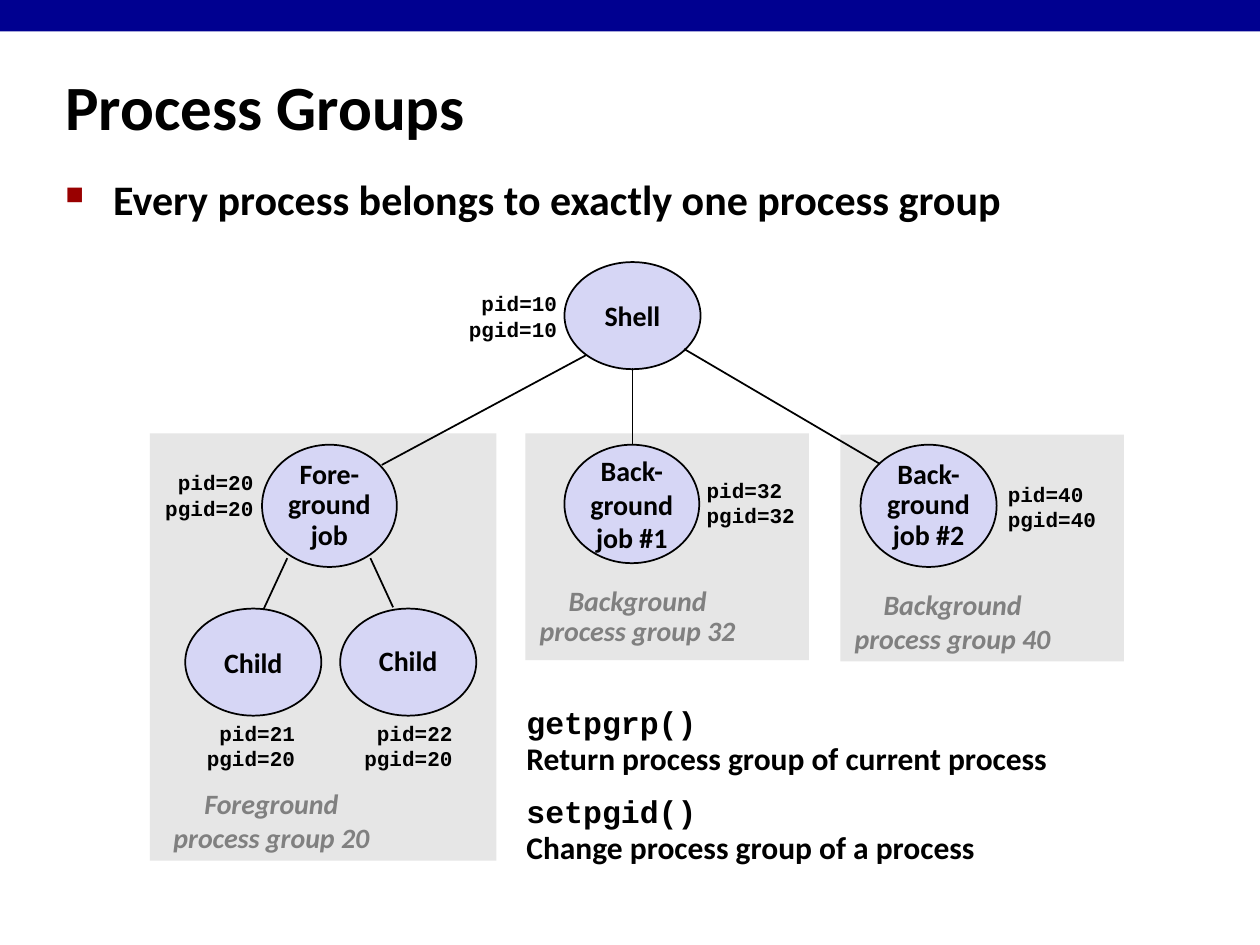
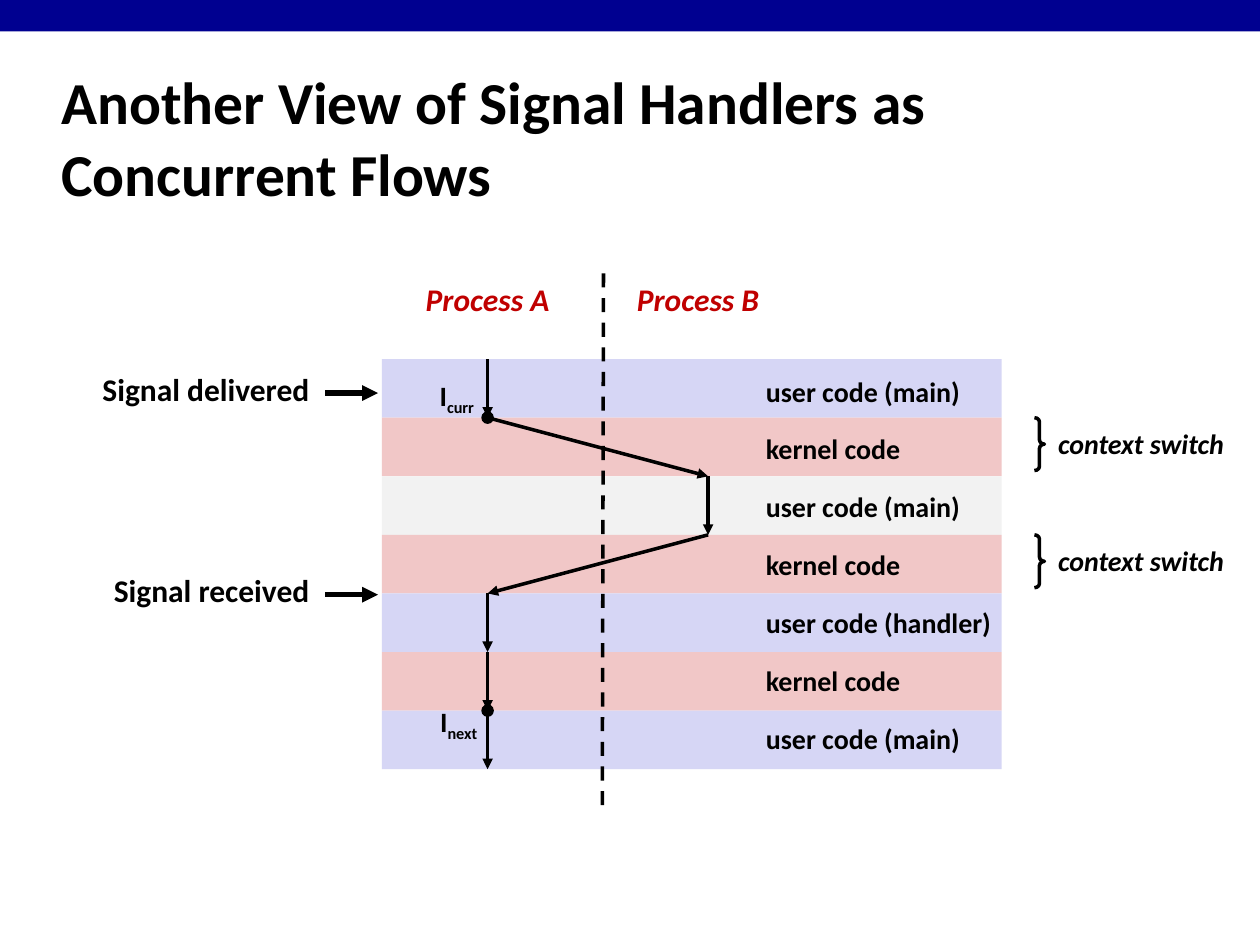
from dataclasses import dataclass
from itertools import pairwise

from lxml.etree import SubElement
from pptx import Presentation
from pptx.dml.color import RGBColor
from pptx.enum.dml import MSO_LINE
from pptx.enum.shapes import MSO_CONNECTOR, MSO_SHAPE
from pptx.enum.text import MSO_ANCHOR, MSO_AUTO_SIZE, PP_ALIGN
from pptx.oxml.ns import qn
from pptx.util import Inches, Pt


@dataclass(frozen=True)
class Style:
    size: int
    color: str = "000000"
    font: str = "Calibri"
    italic: bool = False


class Theme:
    black = "000000"
    banner = "000090"
    bullet = "990000"
    group = "E6E6E6"
    process = user = "D6D6F5"
    kernel = "F1C7C7"
    other = "F2F2F2"
    title = Style(36)
    long_title = Style(34)
    body = Style(24)
    node = label = Style(16)
    identifier = Style(12, font="Courier New")
    group_name = Style(16, "808080", italic=True)
    call = Style(18, font="Courier New")
    signal = meaning = Style(18)
    heading = Style(18, "C00000", italic=True)
    switch = Style(16, italic=True)


LEFT, CENTER, RIGHT = PP_ALIGN.LEFT, PP_ALIGN.CENTER, PP_ALIGN.RIGHT

GROUP_PANELS = [(6.67, 3.45, 2.25, 1.8), (4.17, 3.44, 2.25, 1.8), (1.19, 3.44, 2.75, 3.39)]
PROCESSES = [
    (["Fore-", "ground", "job"], (2.08, 3.53, 1.07, 0.97), 0.9),
    (["Back-", "ground", "job #1"], (4.48, 3.53, 1.07, 0.94), 1),
    (["Back-", "ground", "job #2"], (6.83, 3.53, 1.08, 0.97), 0.9),
    (["Shell"], (4.48, 2.08, 1.08, 0.85), 1),
    (["Child"], (1.47, 4.83, 1.08, 0.85), 1),
    (["Child"], (2.7, 4.83, 1.08, 0.85), 0.9),
]
BRANCHES = [
    ((2.28, 4.43), (2.09, 4.84)),
    ((2.94, 4.43), (3.12, 4.82)),
    ((5.02, 2.92), (5.02, 3.53)),
    ((4.65, 2.82), (3.03, 3.69)),
    ((5.43, 2.77), (6.98, 3.68)),
]
IDENTIFIERS = [
    (10, 10, 3.61, 2.26, RIGHT),
    (20, 20, 1.2, 3.68, RIGHT),
    (32, 32, 5.51, 3.74, LEFT),
    (40, 40, 7.9, 3.77, LEFT),
    (21, 20, 1.53, 5.67, RIGHT),
    (22, 20, 2.78, 5.67, RIGHT),
]
GROUP_NAMES = [
    ("Foreground", 20, (1.19, 6.19, 1.93, 0.64), 1),
    ("Background", 32, (4.17, 4.58, 1.78, 0.64), 0.9),
    ("Background", 40, (6.67, 4.61, 1.78, 0.64), 1),
]
CALLS = [
    ("getpgrp()", "Return process group of current process"),
    ("setpgid()", "Change process group of a process"),
]

BANDS = [
    ("user code (main)", Theme.user),
    ("kernel code", Theme.kernel),
    ("user code (main)", Theme.other),
    ("kernel code", Theme.kernel),
    ("user code (handler)", Theme.user),
    ("kernel code", Theme.kernel),
    ("user code (main)", Theme.user),
]
BAND_LEFT, BAND_TOP, BAND_WIDTH, BAND_STEP = 3.03, 2.85, 4.92, 0.465
LABEL_TOP, LABEL_STEP = 2.92, 0.46
A, B = 3.87, 5.62
FLOW = [A, A, B, B, A, A, A, A]
HEADINGS = [("Process A", 3.27), ("Process B", 4.94)]
SIGNALS = [("Signal delivered", 0.76, 2.92, 1.75), ("Signal received", 0.85, 4.52, 1.66)]
SWITCH_BANDS = [1, 3]
INSTRUCTIONS = [("curr", 2.96, 0.41, 1), ("next", 5.55, 0.44, 6)]


def color(value):
    return RGBColor.from_string(value)


def band_y(index):
    return BAND_TOP + index * BAND_STEP


def set_font(font, style):
    font.name = style.font
    font.size = Pt(style.size)
    font.bold = True
    font.italic = style.italic
    font.color.rgb = color(style.color)


def write(shape, lines, style, align=LEFT, spacing=1, anchor=MSO_ANCHOR.TOP, wrap=False):
    frame = shape.text_frame
    frame.word_wrap = wrap
    frame.vertical_anchor = anchor
    for index, line in enumerate(lines):
        para = frame.add_paragraph() if index else frame.paragraphs[0]
        para.text = line
        para.alignment = align
        para.line_spacing = spacing
        set_font(para.font, style)
    return frame


def add_text(page, place, lines, style, inset=0.1, **options):
    box = page.shapes.add_textbox(*map(Inches, place))
    frame = write(box, lines, style, **options)
    frame.margin_left = frame.margin_right = Inches(inset)
    if not frame.word_wrap:
        frame.auto_size = MSO_AUTO_SIZE.SHAPE_TO_FIT_TEXT
    return frame


def add_shape(page, kind, place, fill=None, line_width=None):
    shape = page.shapes.add_shape(kind, *map(Inches, place))
    shape.shadow.inherit = False
    if fill:
        shape.fill.solid()
        shape.fill.fore_color.rgb = color(fill)
    else:
        shape.fill.background()
    if line_width:
        shape.line.color.rgb = color(Theme.black)
        shape.line.width = Pt(line_width)
    else:
        shape.line.fill.background()
    return shape


def add_line(page, start, end, width, arrow=False):
    connector = page.shapes.add_connector(MSO_CONNECTOR.STRAIGHT, *map(Inches, (*start, *end)))
    connector.line.color.rgb = color(Theme.black)
    connector.line.width = Pt(width)
    if arrow:
        SubElement(connector.line._get_or_add_ln(), qn("a:tailEnd"), type="triangle")
    SubElement(connector._element.spPr, qn("a:effectLst"))
    return connector


def add_page(deck, title, place, style):
    page = deck.slides.add_slide(deck.slide_layouts[6])
    add_shape(page, MSO_SHAPE.RECTANGLE, (0, 0, 10, 0.25), Theme.banner)
    add_text(page, place, [title], style, anchor=MSO_ANCHOR.MIDDLE, wrap=True)
    return page


def add_bullet(para):
    properties = para._p.get_or_add_pPr()
    properties.set("marL", str(Inches(0.38)))
    properties.set("indent", str(-Inches(0.38)))
    bullet_color = SubElement(properties, qn("a:buClr"))
    SubElement(bullet_color, qn("a:srgbClr"), val=Theme.bullet)
    SubElement(properties, qn("a:buSzPct"), val="60000")
    SubElement(properties, qn("a:buChar"), char="■")


def build_process_groups(deck):
    page = add_page(deck, "Process Groups", (0.42, 0.42, 8.3, 0.83), Theme.title)
    for place in GROUP_PANELS:
        add_shape(page, MSO_SHAPE.RECTANGLE, place, Theme.group)

    body = page.shapes.add_textbox(*map(Inches, (0.42, 1.33, 8.44, 0.67))).text_frame
    body.word_wrap = True
    para = body.paragraphs[0]
    para.text = "Every process belongs to exactly one process group"
    add_bullet(para)
    set_font(para.font, Theme.body)

    for lines, place, spacing in PROCESSES:
        node = add_shape(page, MSO_SHAPE.OVAL, place, Theme.process, 1)
        write(node, lines, Theme.node, CENTER, spacing, MSO_ANCHOR.MIDDLE)
    for start, end in BRANCHES:
        add_line(page, start, end, 1)
    for pid, pgid, left, top, align in IDENTIFIERS:
        add_text(page, (left, top, 0.91, 0.5), [f"pid={pid}", f"pgid={pgid}"],
                 Theme.identifier, align=align, anchor=MSO_ANCHOR.MIDDLE)
    for kind, number, place, spacing in GROUP_NAMES:
        add_text(page, place, [kind, f"process group {number}"], Theme.group_name,
                 align=CENTER, spacing=spacing, anchor=MSO_ANCHOR.MIDDLE)

    frame = page.shapes.add_textbox(*map(Inches, (4.08, 5.55, 4.5, 1.5))).text_frame
    frame.word_wrap = True
    for index, (call, meaning) in enumerate(CALLS):
        para = frame.add_paragraph() if index else frame.paragraphs[0]
        para.line_spacing = 0.95
        if index:
            para.space_before = Pt(10)
        span = para.add_run()
        span.text = call
        set_font(span.font, Theme.call)
        para.add_line_break()
        span = para.add_run()
        span.text = meaning
        set_font(span.font, Theme.meaning)


def build_concurrent_flows(deck):
    page = add_page(deck, "Another View of Signal Handlers as Concurrent Flows",
                    (0.39, 0.67, 8.3, 0.83), Theme.long_title)
    for index, (label, fill) in enumerate(BANDS):
        place = (BAND_LEFT, band_y(index), BAND_WIDTH, BAND_STEP)
        add_shape(page, MSO_SHAPE.RECTANGLE, place, fill)
        add_text(page, (5.98, LABEL_TOP + index * LABEL_STEP, 2.02, 0.37), [label], Theme.label)

    for heading, left in HEADINGS:
        add_text(page, (left, 2.17, 1.2, 0.4), [heading], Theme.heading, align=CENTER)
    for signal, left, top, width in SIGNALS:
        add_text(page, (left, top, width, 0.4), [signal], Theme.signal,
                 inset=0.05, align=CENTER, spacing=0.9)
        add_line(page, (2.58, top + 0.2), (3, top + 0.2), 3, arrow=True)
    for index in SWITCH_BANDS:
        top = band_y(index)
        brace = add_shape(page, MSO_SHAPE.RIGHT_BRACE, (8.21, top, 0.08, 0.42), line_width=2)
        brace.adjustments[0] = 0.42
        add_text(page, (8.3, top + 0.02, 1.54, 0.37), ["context switch"], Theme.switch)

    divider = add_line(page, (4.79, 2.17), (4.78, 6.47), 2)
    divider.line.dash_style = MSO_LINE.DASH
    stops = [(x, band_y(index)) for index, x in enumerate(FLOW)]
    for start, end in pairwise(stops):
        add_line(page, start, end, 2, arrow=True)

    for name, top, width, stop in INSTRUCTIONS:
        frame = add_text(page, (3.42, top, width, 0.37), ["I"], Theme.label,
                         inset=0.05, align=CENTER, spacing=0.9)
        span = frame.paragraphs[0].add_run()
        span.text = name
        span.font._element.set("baseline", "-25000")
        x, y = stops[stop]
        add_shape(page, MSO_SHAPE.OVAL, (x - 0.05, y - 0.05, 0.1, 0.1), Theme.black)


def main():
    deck = Presentation()
    deck.slide_width, deck.slide_height = Inches(10), Inches(7.5)
    build_process_groups(deck)
    build_concurrent_flows(deck)
    deck.save("out.pptx")


if __name__ == "__main__":
    main()
